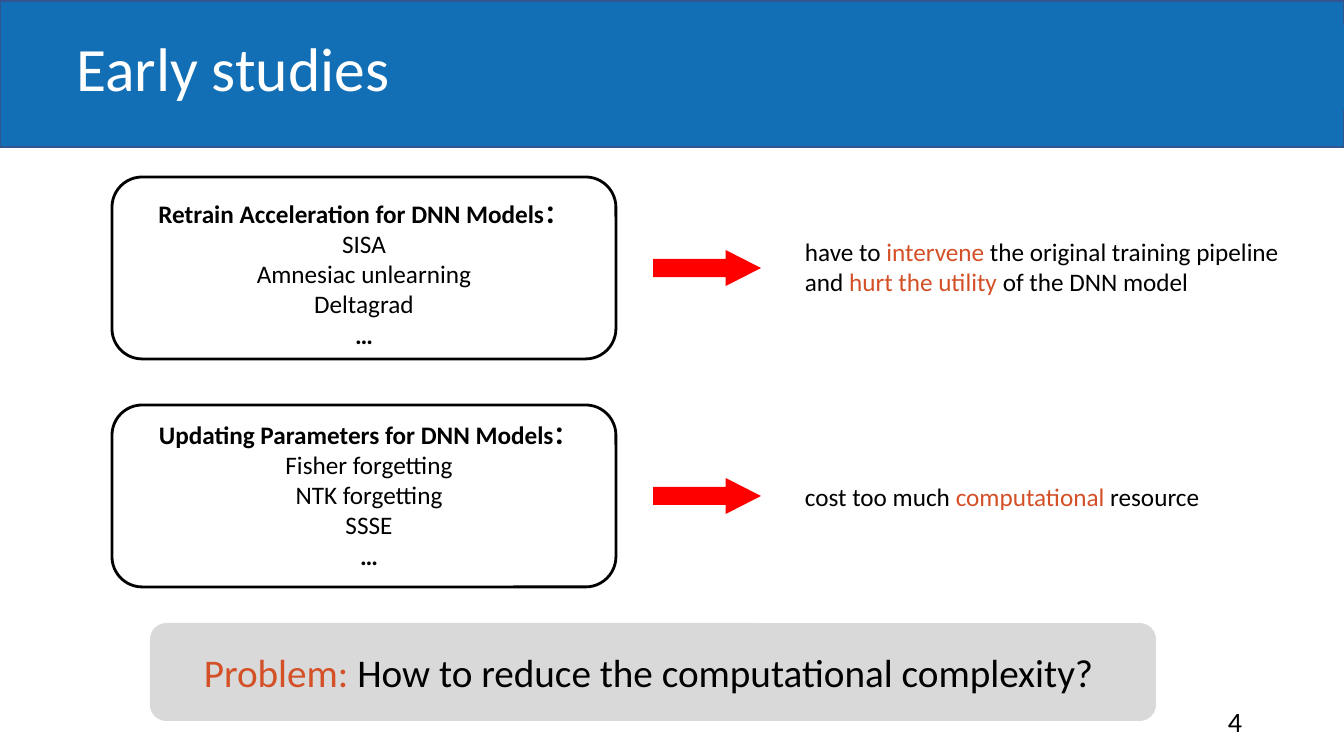
from pptx import Presentation
from pptx.dml.color import RGBColor
from pptx.enum.shapes import MSO_SHAPE
from pptx.enum.text import MSO_ANCHOR, MSO_AUTO_SIZE, PP_ALIGN
from pptx.oxml.ns import qn
from pptx.util import Emu, Pt

RECT, ROUND, ARROW = MSO_SHAPE.RECTANGLE, MSO_SHAPE.ROUNDED_RECTANGLE, MSO_SHAPE.RIGHT_ARROW
TOP, MIDDLE = MSO_ANCHOR.TOP, MSO_ANCHOR.MIDDLE
LEFT, CENTER, RIGHT = PP_ALIGN.LEFT, PP_ALIGN.CENTER, PP_ALIGN.RIGHT
FIXED = MSO_AUTO_SIZE.NONE
SCALE = 914400 / 100.8
COLORS = {
    "blue": "136FB5", "edge": "325491", "white": "FFFFFF", "black": "000000",
    "red": "FF0000", "accent": "D45027", "gray": "D9D9D9",
}
RGB = {name: RGBColor.from_string(code) for name, code in COLORS.items()}


def draw(kind, place, fill=None, line=None, width=1):
    shape = slide.shapes.add_shape(kind, *[Emu(round(n * SCALE)) for n in place])
    shape.shadow.inherit = False
    if fill:
        shape.fill.solid()
        shape.fill.fore_color.rgb = RGB[fill]
    else:
        shape.fill.background()
    if line:
        shape.line.color.rgb = RGB[line]
        shape.line.width = Pt(width)
    else:
        shape.line.fill.background()
    return shape


def write(shape, lines, size, align=LEFT, anchor=TOP, place=None):
    if place:
        for side, n in zip(("left", "top", "width", "height"), place):
            setattr(shape, side, Emu(round(n * SCALE)))
    frame = shape.text_frame
    frame.word_wrap, frame.auto_size, frame.vertical_anchor = True, FIXED, anchor
    for i, parts in enumerate(lines):
        para = frame.add_paragraph() if i else frame.paragraphs[0]
        para.alignment, para.space_before = align, Pt(0)
        if shape.is_placeholder:
            props = para._p.get_or_add_pPr()
            props.set("marL", "0")
            props.set("indent", "0")
            props.append(props.makeelement(qn("a:buNone"), {}))
        for text, color, bold in parts:
            run = para.add_run()
            run.text = text
            look = {"name": "Calibri", "size": Pt(size), "bold": bold}
            for key, value in look.items():
                setattr(run.font, key, value)
            run.font.color.rgb = RGB[color]


deck = Presentation()
deck.slide_width, deck.slide_height = Emu(round(1344 * SCALE)), Emu(round(756 * SCALE))
slide = deck.slides.add_slide(deck.slide_layouts[3])
title, *bodies = slide.placeholders

band = draw(RECT, (0, 1, 1344, 146), "blue", "edge")
slide.shapes._spTree.insert(2, band._element)
title.fill.solid()
title.fill.fore_color.rgb = RGB["blue"]
write(title, [[("Early studies", "white", False)]], 44, place=(66, 25, 1278, 85))

rows = [
    ("Retrain Acceleration for DNN Models：",
     ["SISA", "Amnesiac unlearning", "Deltagrad"], (126, 193, 476, 163),
     [[("have to ", "black", False), ("intervene", "accent", False),
       (" the original training pipeline", "black", False)],
      [("and ", "black", False), ("hurt the utility ", "accent", False),
       ("of the DNN model", "black", False)]], (795, 231, 549, 72)),
    ("Updating Parameters for DNN Models：",
     ["Fisher forgetting", "NTK forgetting", "SSSE"], (104, 414, 530, 163),
     [[("cost too much ", "black", False), ("computational", "accent", False),
       (" resource", "black", False)]], (795, 476, 459, 40)),
]
for i, (head, items, spot, flaw, area) in enumerate(rows):
    shift = 228 * i
    lines = [[(head, "black", True)]]
    lines += [[(item, "black", False)] for item in items]
    lines.append([("…", "black", True)])
    write(bodies[i], lines, 18, CENTER, place=spot)
    draw(ROUND, (112, 177 + shift, 504, 182), line="black", width=2)
    arrow = draw(ARROW, (653, 250 + shift, 108, 36), "red")
    arrow.adjustments[1] = 0.98
    write(slide.shapes.add_textbox(0, 0, 0, 0), flaw, 18, place=area)

problem = draw(ROUND, (150, 623, 1006, 98), "gray")
write(problem, [[("Problem: ", "accent", False),
                 ("How to reduce the computational complexity? ", "black", False)]],
      28, CENTER, MIDDLE)
write(slide.shapes.add_textbox(0, 0, 0, 0), [[("4", "black", False)]],
      20, RIGHT, MIDDLE, (950, 701, 302, 40))

deck.save("out.pptx")
